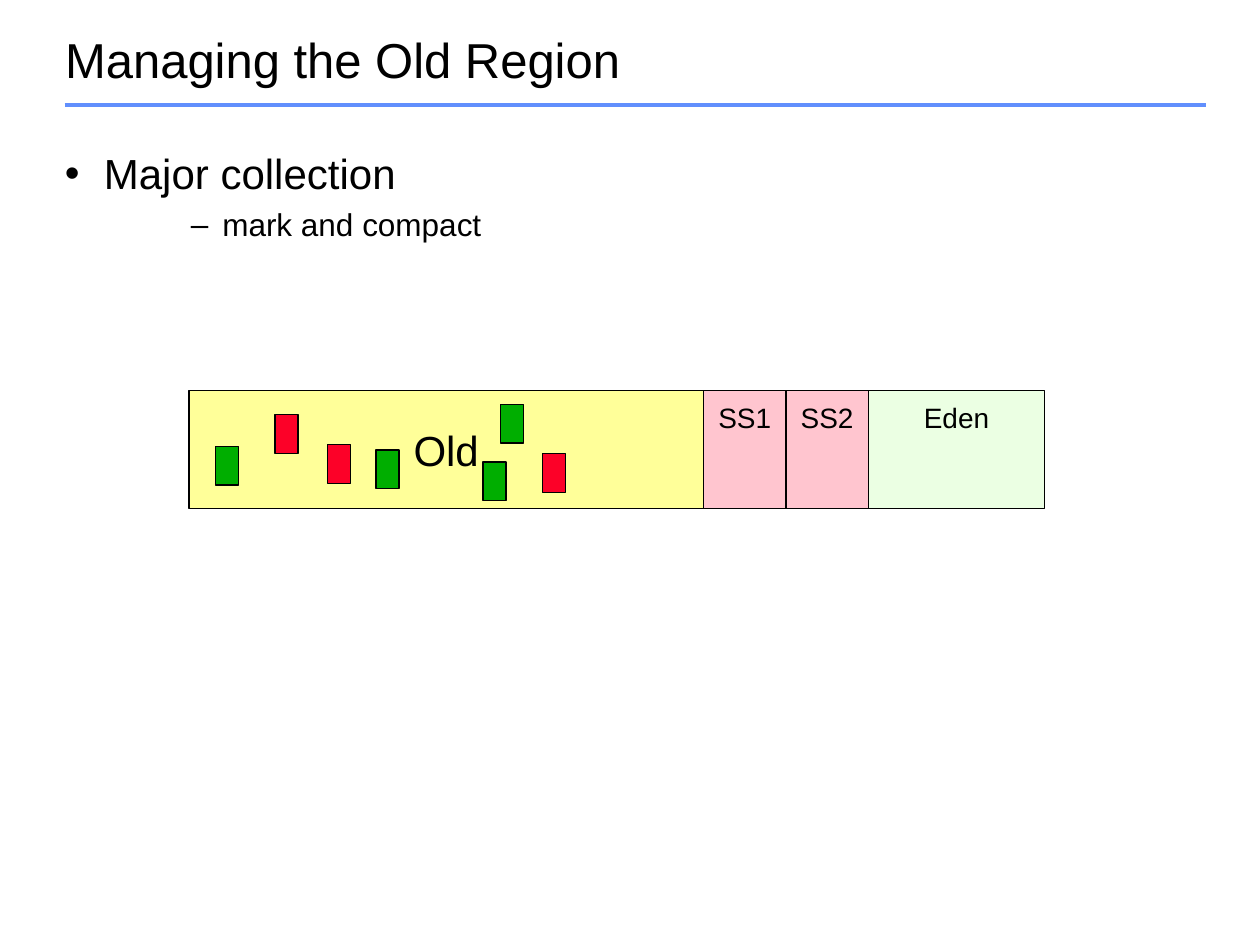
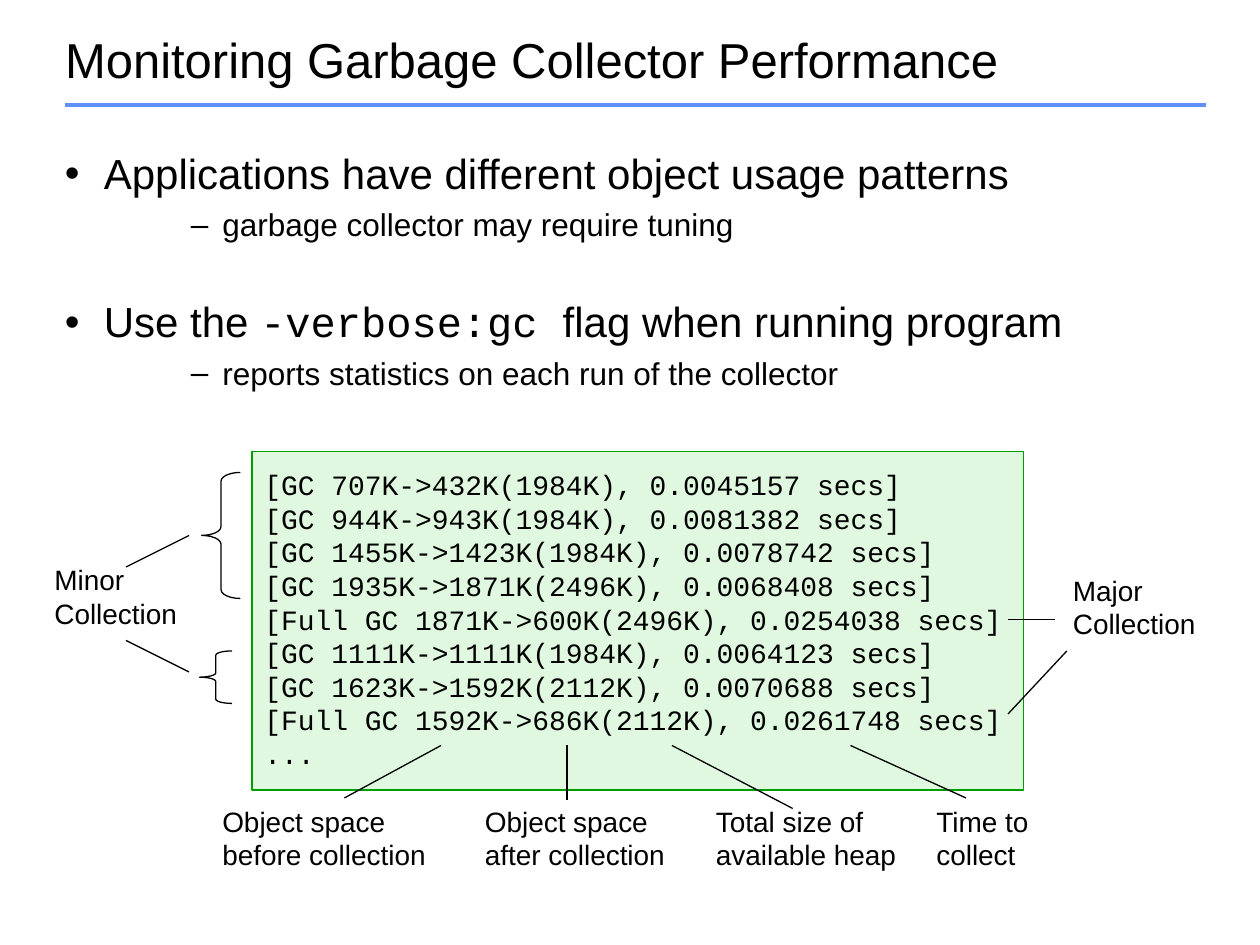
from dataclasses import dataclass

from lxml import etree
from pptx import Presentation
from pptx.dml.color import RGBColor
from pptx.enum.shapes import MSO_CONNECTOR, MSO_SHAPE
from pptx.enum.text import MSO_ANCHOR, MSO_AUTO_SIZE, PP_ALIGN
from pptx.oxml.ns import qn
from pptx.util import Inches, Pt

RECT, BRACE = MSO_SHAPE.RECTANGLE, MSO_SHAPE.LEFT_BRACE
STRAIGHT = MSO_CONNECTOR.STRAIGHT
TOP, MIDDLE = MSO_ANCHOR.TOP, MSO_ANCHOR.MIDDLE
LEFT, CENTER = PP_ALIGN.LEFT, PP_ALIGN.CENTER
NO_FIT = MSO_AUTO_SIZE.NONE
TITLE_ONLY = 5
COLS, ROWS = 120, 90  # grid of twelfths of an inch


@dataclass(frozen=True)
class Theme:
    sans: str = "Arial"
    mono: str = "Courier New"
    ink: str = "000000"
    rule: str = "618FFD"
    old: str = "FFFF99"
    survivor: str = "FFC5CF"
    eden: str = "EBFFE3"
    live: str = "00AE00"
    dead: str = "FC0128"
    log_fill: str = "E0F8E0"
    log_line: str = "009D00"
    title: int = 28
    body: int = 24
    sub: int = 18
    label: int = 16
    hairline: float = 0.75
    rule_width: float = 2


T = Theme()
# level: size, left margin and hanging indent (inches), bullet
LEVELS = {1: (T.body, 0.31, 0.31, "\u2022"), 2: (T.sub, 1.25, 0.25, "\u2013")}


def grid(*cells):
    return [Inches(c / 12) for c in cells]


def rgb(value):
    return RGBColor.from_string(value)


def set_format(obj, formats):
    for name, value in formats.items():
        setattr(obj, name, value)


def add_run(p, text, size, font=T.sans):
    r = p.add_run()
    r.text = text
    set_format(r.font, {"size": Pt(size), "name": font})
    r.font.color.rgb = rgb(T.ink)


def write(tf, text, size, font=T.sans, align=LEFT):
    """Fill a text frame with one paragraph per line."""
    for i, line in enumerate(text.split("\n")):
        p = tf.add_paragraph() if i else tf.paragraphs[0]
        p.alignment = align
        add_run(p, line, size, font)


def add_line(s, start, end, color=T.ink, width=T.hairline):
    c = s.shapes.add_connector(STRAIGHT, *grid(*start, *end))
    c.line.color.rgb = rgb(color)
    c.line.width = Pt(width)
    etree.SubElement(c._element.spPr, qn("a:effectLst"))


def add_box(s, box, fill=None, line=T.ink, kind=RECT):
    sp = s.shapes.add_shape(kind, *grid(*box))
    sp.shadow.inherit = False
    if fill:
        sp.fill.solid()
        sp.fill.fore_color.rgb = rgb(fill)
    else:
        sp.fill.background()
    sp.line.color.rgb = rgb(line)
    sp.line.width = Pt(T.hairline)
    return sp


def add_brace(s, box, curve):
    add_box(s, box, kind=BRACE).adjustments[0] = curve


def add_label(s, box, text, wrap=False):
    tf = s.shapes.add_textbox(*grid(*box)).text_frame
    tf.word_wrap = wrap
    write(tf, text, T.label)


def add_bullets(s, rows, items):
    """Items are (level, extra points above, runs as (text, font))."""
    tf = s.shapes.add_textbox(*grid(5, 14, 114, rows)).text_frame
    tf.word_wrap = True
    for i, (level, gap, runs) in enumerate(items):
        size, margin, hang, bullet = LEVELS[level]
        p = tf.add_paragraph() if i else tf.paragraphs[0]
        set_format(p, {"level": level - 1, "line_spacing": 0.9,
                       "space_before": Pt(round(0.345 * size + gap, 1))})
        pPr = p._p.get_or_add_pPr()
        pPr.set("marL", str(Inches(margin)))
        pPr.set("indent", str(-Inches(hang)))
        etree.SubElement(pPr, qn("a:buFont")).set("typeface", T.sans)
        etree.SubElement(pPr, qn("a:buChar")).set("char", bullet)
        for text, font in runs:
            add_run(p, text, size, font)


def add_slide(prs, title):
    """Title with the rule beneath it."""
    s = prs.slides.add_slide(prs.slide_layouts[TITLE_ONLY])
    add_line(s, (6.15, 10), (114.85, 10), T.rule, T.rule_width)
    sp = s.shapes.title
    left, top, width, height = grid(5, 3, 110, 6)
    set_format(sp, {"left": left, "top": top, "width": width, "height": height})
    tf = sp.text_frame
    set_format(tf, {"word_wrap": True, "vertical_anchor": MIDDLE,
                    "auto_size": NO_FIT})
    write(tf, title, T.title)
    tf.paragraphs[0].line_spacing = 0.9
    return s


def add_heap(s):
    """Heap regions side by side, with objects in the old region."""
    left, top, height = 18, 37.2, 11.2
    regions = [("Old", 49, T.old, T.body, MIDDLE),
               ("SS1", 7.85, T.survivor, T.label, TOP),
               ("SS2", 7.85, T.survivor, T.label, TOP),
               ("Eden", 16.8, T.eden, T.label, TOP)]
    for name, width, fill, size, anchor in regions:
        tf = add_box(s, (left, top, width, height), fill).text_frame
        set_format(tf, {"word_wrap": False, "vertical_anchor": anchor,
                        "margin_top": Inches(0.08 if anchor == TOP else 0.05)})
        write(tf, name, size, align=CENTER)
        left += width

    objects = [(20.5, 42.5, T.live), (26.2, 39.5, T.dead), (31.2, 42.35, T.dead),
               (35.8, 42.85, T.live), (47.65, 38.5, T.live),
               (46, 44, T.live), (51.65, 43.2, T.dead)]
    for col, row, fill in objects:
        add_box(s, (col, row, 2.2, 3.7), fill)


def add_log(s):
    """Collector output in a framed box."""
    lines = [
        "[GC 707K->432K(1984K), 0.0045157 secs]",
        "[GC 944K->943K(1984K), 0.0081382 secs]",
        "[GC 1455K->1423K(1984K), 0.0078742 secs]",
        "[GC 1935K->1871K(2496K), 0.0068408 secs]",
        "[Full GC 1871K->600K(2496K), 0.0254038 secs]",
        "[GC 1111K->1111K(1984K), 0.0064123 secs]",
        "[GC 1623K->1592K(2112K), 0.0070688 secs]",
        "[Full GC 1592K->686K(2112K), 0.0261748 secs]",
        "...",
    ]
    tf = add_box(s, (24, 43, 73.5, 32.25), T.log_fill, T.log_line).text_frame
    set_format(tf, {"word_wrap": True, "vertical_anchor": TOP,
                    "margin_top": Inches(0.13), "margin_bottom": Inches(0.13)})
    write(tf, "\n".join(lines), T.label, T.mono)


def add_callouts(s):
    # Fields of a log line: label column, width, text, wrap, leader ends
    fields = [
        (20, 22.1, "Object space\nbefore collection", False, (32.8, 76), 42),
        (45, 19.8, "Object space\nafter collection", False, (54, 76.2), 54),
        (67, 20, "Total size of available heap", True, (75.5, 77), 64),
        (88, 11.3, "Time to\ncollect", False, (92, 76), 81),
    ]
    for col, width, text, wrap, start, end in fields:
        add_label(s, (col, 76, width, 7.7), text, wrap)
        add_line(s, start, (end, 71))

    # Kinds of collection
    add_label(s, (4, 53, 14.3, 7.7), "Minor\nCollection")
    add_label(s, (101, 54, 14.3, 7.7), "Major\nCollection")
    add_brace(s, (19.2, 45, 3.7, 12), 0.226)
    add_brace(s, (19, 62, 3.1, 5), 0.133)
    for start, end in [((12, 54), (18, 51)), ((12, 61), (18, 64)),
                       ((96, 59), (100.5, 59)), ((96, 68), (101.6, 62))]:
        add_line(s, start, end)


def main():
    prs = Presentation()
    prs.slide_width, prs.slide_height = grid(COLS, ROWS)

    # Old region
    s = add_slide(prs, "Managing the Old Region")
    add_bullets(s, 14.9, [(1, 0, [("Major collection", T.sans)]),
                          (2, 0, [("mark and compact", T.sans)])])
    add_heap(s)

    # Monitoring
    s = add_slide(prs, "Monitoring Garbage Collector Performance")
    add_bullets(s, 33.5, [
        (1, 0, [("Applications have different object usage patterns", T.sans)]),
        (2, 0, [("garbage collector may require tuning", T.sans)]),
        (1, 25, [("Use the ", T.sans), ("-verbose:gc ", T.mono),
                 ("flag when running program", T.sans)]),
        (2, 0, [("reports statistics on each run of the collector", T.sans)]),
    ])
    add_log(s)
    add_callouts(s)

    prs.save("out.pptx")


main()
